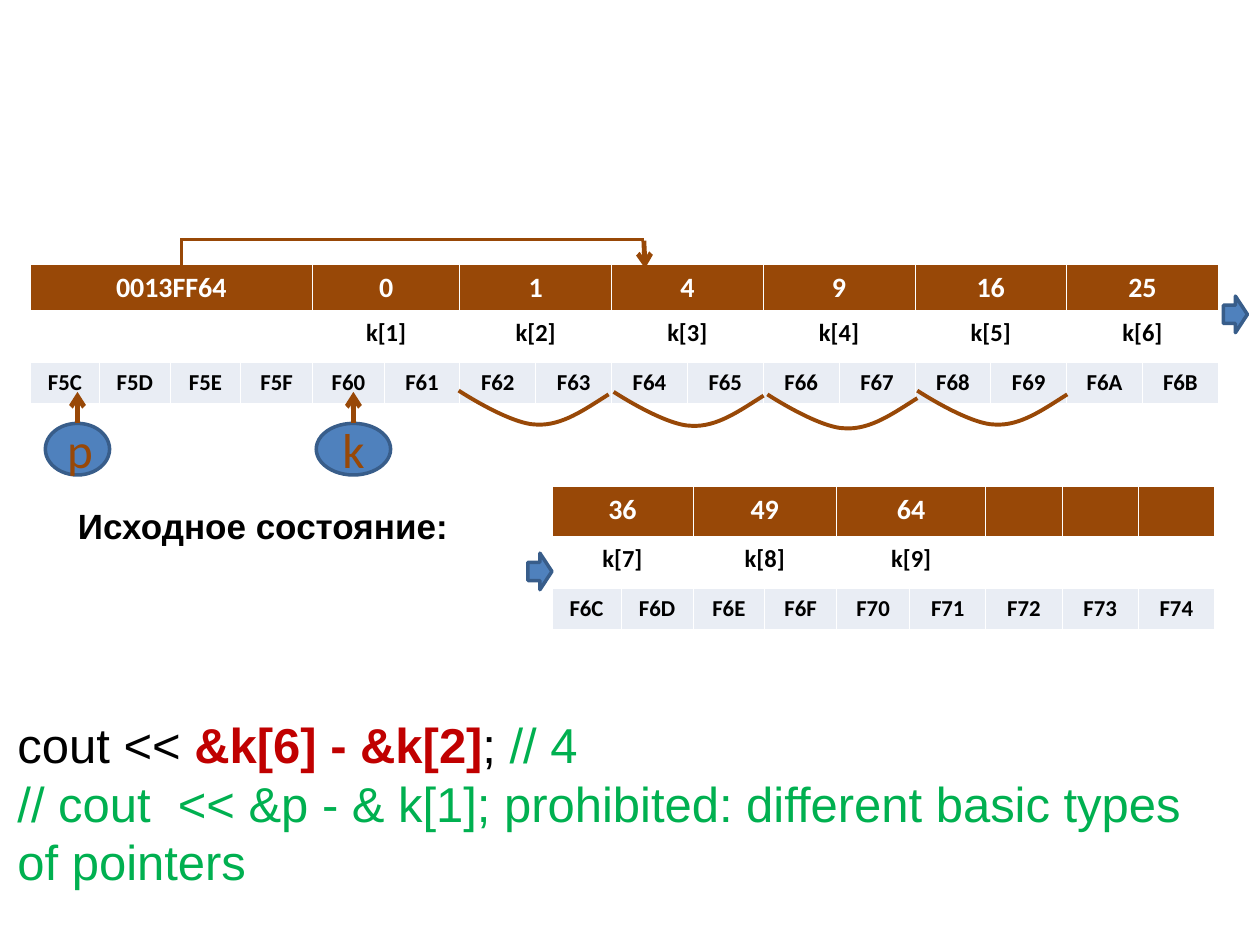
from lxml.etree import SubElement
from pptx import Presentation
from pptx.dml.color import RGBColor as RGB
from pptx.enum.shapes import MSO_CONNECTOR as CONN, MSO_SHAPE as SHAPE
from pptx.enum.text import MSO_ANCHOR as ANCHOR, PP_ALIGN as ALIGN
from pptx.oxml.ns import qn
from pptx.util import Inches as I, Pt

# Content
COLORS = dict(brown="984807", blue="4F81BD", navy="385D8A", pale="E9EDF4",
              white="FFFFFF", black="000000", red="C00000", green="00B050")
MEMORY = [
    dict(at=(0.24, 2.1), width=9.43, first=[0.55, 0.56, 0.56, 0.57, 0.57, 0.6],
         values=[("0013FF64", 4)] + [(v, 2) for v in "0 1 4 9 16 25".split()],
         names=[("", 1)] * 4 + [(f"k[{i}]", 2) for i in range(1, 7)],
         cells="F5С F5D F5E F5F F60 F61 F62 F63 F64 F65 F66 F67 F68 F69 F6A F6B".split()),
    dict(at=(4.38, 3.86), width=5.26, first=[0.55, 0.57, 0.57, 0.57, 0.58],
         values=[("36", 2), ("49", 2), ("64", 2)] + [("", 1)] * 3,
         names=[("k[7]", 2), ("k[8]", 2), ("k[9]", 2)] + [("", 1)] * 3,
         cells="F6C F6D F6E F6F F70 F71 F72 F73 F74".split()),
]
ROWS = [0.37, 0.33, 0.32]
ROW_STYLES = [(16, "white", "brown"), (14, "black", "white"), (13, "black", "pale")]
POINTERS = [("p", 0.36, 0.51), ("k", 2.51, 0.59)]
CONTINUES = [(9.71, 2.35), (4.19, 4.39)]
ARCS = [(3.64, 3.1), (4.87, 3.11), (6.09, 3.13), (7.28, 3.1)]
ARC_CURVE = [(0.41, 0.27), (0.62, 0.27), (0.82, 0.28), (1, 0.15), (1.19, 0.03)]
CAPTION = [[("Исходное состояние:", "black", True)]]
CODE = [
    [("cout << ", "black", False), ("&k[6] - &k[2]", "red", True),
     ("; ", "black", False), ("// 4", "green", False)],
    [("// cout  << &p - & k[1]; prohibited: different basic types of pointers",
      "green", False)],
]

prs = Presentation()
prs.slide_width, prs.slide_height = I(10), I(7.5)
s = prs.slides.add_slide(prs.slide_layouts[6])


def color(name):
    return RGB.from_string(COLORS[name])


def add_run(p, text, size, tint, bold=False, font="Calibri"):
    r = p.add_run()
    r.text = text
    r.font.name, r.font.size, r.font.bold = font, Pt(size), bold
    r.font.color.rgb = color(tint)


def set_borders(cell, row):
    tc_pr = cell._tc.get_or_add_tcPr()
    for i, side in enumerate("LRTB"):
        thick = (row, side) in ((0, "B"), (1, "T"))
        ln = SubElement(tc_pr, qn(f"a:ln{side}"), w=str(Pt(1.47 if thick else 0.45)))
        fill = SubElement(ln, qn("a:solidFill"))
        SubElement(fill, qn("a:srgbClr"), val=COLORS["white"])
        tc_pr.insert(i, ln)


def add_memory(at, width, first, values, names, cells):
    n = len(cells)
    rest = (width - sum(first)) / (n - len(first))
    table = s.shapes.add_table(3, n, I(at[0]), I(at[1]), I(width), I(sum(ROWS))).table
    table.first_row = table.horz_banding = False
    for col, w in zip(table.columns, first + [rest] * (n - len(first))):
        col.width = I(w)
    rows = [values, names, [(c, 1) for c in cells]]
    for y, (items, (size, tint, fill)) in enumerate(zip(rows, ROW_STYLES)):
        table.rows[y].height = I(ROWS[y])
        x = 0
        for text, span in items:
            cell = table.cell(y, x)
            if span > 1:
                cell.merge(table.cell(y, x + span - 1))
            for i in range(x, x + span):
                part = table.cell(y, i)
                part.fill.solid()
                part.fill.fore_color.rgb = color(fill)
                set_borders(part, y)
            if text:
                p = cell.text_frame.paragraphs[0]
                p.alignment = ALIGN.CENTER
                add_run(p, text, size, tint, True)
            x += span


def add_blue(kind, x, y, w, h):
    sp = s.shapes.add_shape(kind, I(x), I(y), I(w), I(h))
    sp.shadow.inherit = False
    sp.fill.solid()
    sp.fill.fore_color.rgb = color("blue")
    sp.line.color.rgb, sp.line.width = color("navy"), Pt(2)
    return sp


def add_line(start, end, width=2, arrow=False):
    c = s.shapes.add_connector(CONN.STRAIGHT, *[I(v) for v in start + end])
    c.line.color.rgb, c.line.width = color("brown"), Pt(width)
    if arrow:
        SubElement(c.line._get_or_add_ln(), qn("a:tailEnd"), type="arrow")
    SubElement(c._element.spPr, qn("a:effectLst"))
    return c


def add_text(x, y, w, h, lines, size):
    tf = s.shapes.add_textbox(I(x), I(y), I(w), I(h)).text_frame
    tf.word_wrap = True
    for i, line in enumerate(lines):
        p = tf.add_paragraph() if i else tf.paragraphs[0]
        for text, tint, bold in line:
            add_run(p, text, size, tint, bold, "Arial")
    return tf


def add_arc(x, y):
    fb = s.shapes.build_freeform(I(x), I(y), scale=1)
    # Each group of three points makes one Bezier segment
    fb.add_line_segments([(I(x), I(y))] + [(I(x + dx), I(y + dy)) for dx, dy in ARC_CURVE],
                         close=False)
    sp = fb.convert_to_shape()
    sp.shadow.inherit = False
    sp.fill.background()
    sp.line.color.rgb, sp.line.width = color("brown"), Pt(2.25)
    lines = list(sp._element.iter(qn("a:lnTo")))
    outline = lines[0].getparent()
    for i in range(0, len(lines), 3):
        curve = SubElement(outline, qn("a:cubicBezTo"))
        for ln in lines[i:i + 3]:
            curve.append(ln[0])
            outline.remove(ln)


# Memory tables
for block in MEMORY:
    add_memory(**block)

# Pointer variables below their addresses
for name, x, w in POINTERS:
    oval = add_blue(SHAPE.OVAL, x, 3.36, w, 0.41)
    tf = oval.text_frame
    tf.vertical_anchor = ANCHOR.MIDDLE
    tf.paragraphs[0].alignment = ALIGN.CENTER
    add_run(tf.paragraphs[0], name, 28, "brown")
    mid = x + w / 2
    add_line((mid, 3.36), (mid, 3.11), 2.75, True).begin_connect(oval, 0)

# Block arrows where the memory continues
for x, y in CONTINUES:
    add_blue(SHAPE.RIGHT_ARROW, x, y, 0.19, 0.29)

# Path from the pointer value to the element it addresses
add_line((1.44, 2.13), (1.44, 1.89))
add_line((5.11, 1.9), (1.43, 1.9))
add_line((5.11, 1.91), (5.12, 2.13), 2.75, True)

# Steps between elements
for x, y in ARCS:
    add_arc(x, y)

# Caption and code
add_text(0.52, 3.99, 3.59, 0.45, CAPTION, 20).paragraphs[0].line_spacing = 0.9
add_text(0.04, 5.62, 9.68, 1.5, CODE, 28)

prs.save("out.pptx")
